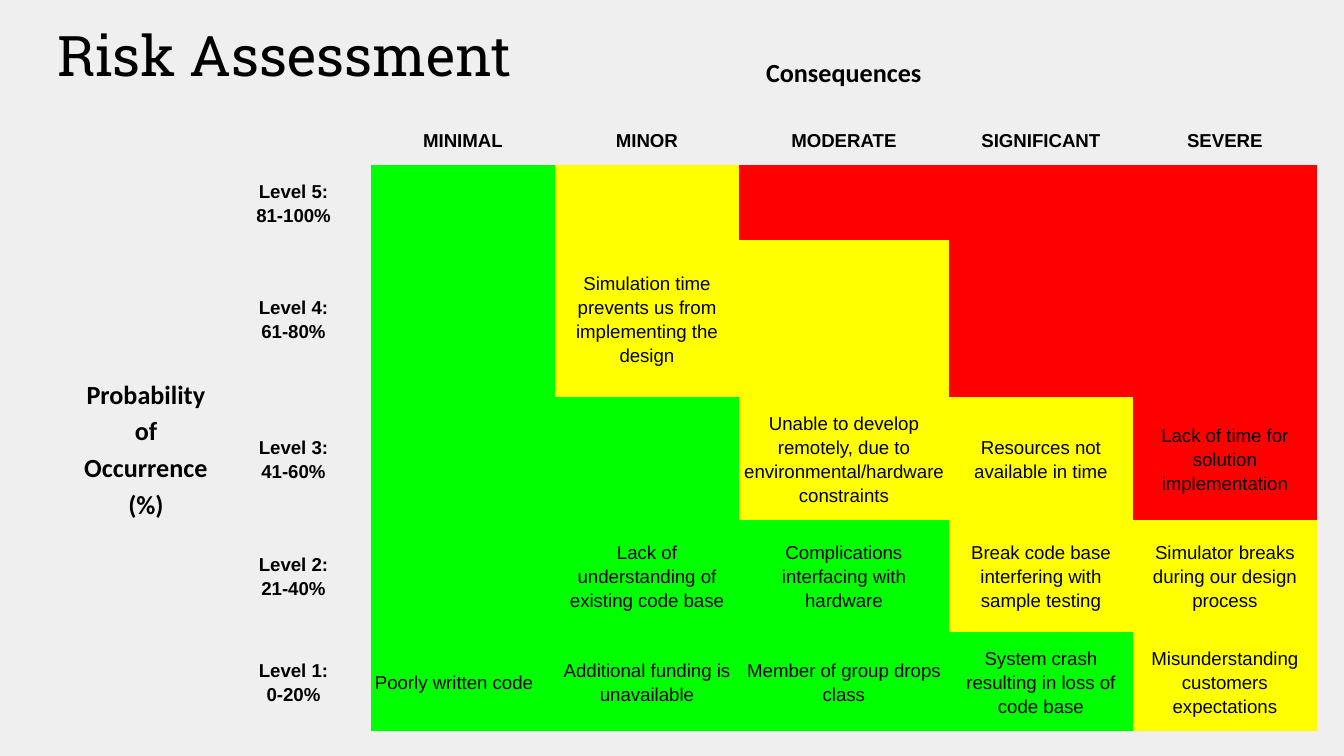
from pptx import Presentation
from pptx.dml.color import RGBColor
from pptx.enum.text import MSO_ANCHOR, PP_ALIGN
from pptx.util import Pt

PX = 914400 / 134.4
BLACK = RGBColor(0, 0, 0)
BACKGROUND = RGBColor(0xEF, 0xEF, 0xEF)
ZONES = {
    "G": RGBColor(0, 0xFF, 0),
    "Y": RGBColor(0xFF, 0xFF, 0),
    "R": RGBColor(0xFF, 0, 0),
}
PLAIN_STYLE = "{2D5ABB26-0587-4C30-8999-92F81FD0307C}"

TITLE = "Risk Assessment"
TOP_HEADING = "Consequences"
SIDE_HEADING = "Probability of Occurrence (%)"
SEVERITIES = ["MINIMAL", "MINOR", "MODERATE", "SIGNIFICANT", "SEVERE"]
LEVELS = [
    ("Level 5:\n81-100%", "GYRRR", ["", "", "", "", ""]),
    ("Level 4:\n61-80%", "GYYRR",
     ["", "Simulation time prevents us from implementing the design", "", "", ""]),
    ("Level 3:\n41-60%", "GGYYR",
     ["", "", "Unable to develop remotely, due to environmental/hardware constraints",
      "Resources not available in time", "Lack of time for solution implementation"]),
    ("Level 2:\n21-40%", "GGGYY",
     ["", "Lack of understanding of existing code base",
      "Complications interfacing with hardware",
      "Break code base interfering with sample testing",
      "Simulator breaks during our design process"]),
    ("Level 1:\n0-20%", "GGGGY",
     ["Poorly written code", "Additional funding is unavailable",
      "Member of group drops class", "System crash resulting in loss of code base",
      "Misunderstanding customers expectations"]),
]
COLUMN_WIDTHS = [140, 155, 184, 184, 210, 184, 184]
ROW_HEIGHTS = [70, 59, 75, 157, 123, 112, 99]


def px(length):
    return round(length * PX)


def write(frame, text, font="Arial", size=10, bold=False, align=PP_ALIGN.CENTER, spacing=1.15):
    frame.text = text
    for para in frame.paragraphs:
        para.alignment = align
        para.line_spacing = spacing
        para.font.size = Pt(size)
        for span in para.runs:
            span.font.name = font
            span.font.size = Pt(size)
            span.font.bold = bold
            span.font.color.rgb = BLACK


def add_title(page):
    box = page.shapes.title
    box.left, box.top, box.width, box.height = px(44), 0, px(1230), px(101)
    frame = box.text_frame
    frame.word_wrap = True
    frame.vertical_anchor = MSO_ANCHOR.BOTTOM
    frame.margin_left = frame.margin_right = px(13)
    frame.margin_top = frame.margin_bottom = px(13)
    write(frame, TITLE, font="Roboto Slab", size=30, align=PP_ALIGN.LEFT, spacing=1.0)


def add_grid(page):
    holder = page.shapes.add_table(
        len(ROW_HEIGHTS), len(COLUMN_WIDTHS), px(76), px(36),
        px(sum(COLUMN_WIDTHS)), px(sum(ROW_HEIGHTS)))
    holder.element.xpath(".//a:tableStyleId")[0].text = PLAIN_STYLE
    grid = holder.table
    grid.first_row = grid.horz_banding = False
    for column, width in zip(grid.columns, COLUMN_WIDTHS):
        column.width = px(width)
    for row, height in zip(grid.rows, ROW_HEIGHTS):
        row.height = px(height)
    for cell in grid.iter_cells():
        cell.margin_left = cell.margin_right = px(4)
        cell.margin_top = cell.margin_bottom = px(13)
        cell.vertical_anchor = MSO_ANCHOR.MIDDLE
        cell.fill.background()
        write(cell.text_frame, "")
    return grid


def fill_grid(grid):
    grid.cell(0, 2).merge(grid.cell(0, 6))
    grid.cell(2, 0).merge(grid.cell(6, 0))
    for place, heading in (((0, 2), TOP_HEADING), ((2, 0), SIDE_HEADING)):
        write(grid.cell(*place).text_frame, heading, font="Calibri", size=14, bold=True)
    for column, severity in enumerate(SEVERITIES, 2):
        cell = grid.cell(1, column)
        cell.vertical_anchor = MSO_ANCHOR.BOTTOM
        write(cell.text_frame, severity, bold=True)
    for row, (level, zones, risks) in enumerate(LEVELS, 2):
        write(grid.cell(row, 1).text_frame, level, bold=True)
        for column, (zone, risk) in enumerate(zip(zones, risks), 2):
            cell = grid.cell(row, column)
            cell.fill.solid()
            cell.fill.fore_color.rgb = ZONES[zone]
            write(cell.text_frame, risk,
                  align=PP_ALIGN.LEFT if column == 2 else PP_ALIGN.CENTER)


def main():
    deck = Presentation()
    deck.slide_width, deck.slide_height = px(1344), px(756)
    page = deck.slides.add_slide(deck.slide_layouts[5])
    page.background.fill.solid()
    page.background.fill.fore_color.rgb = BACKGROUND
    add_title(page)
    fill_grid(add_grid(page))
    deck.save("out.pptx")


if __name__ == "__main__":
    main()
